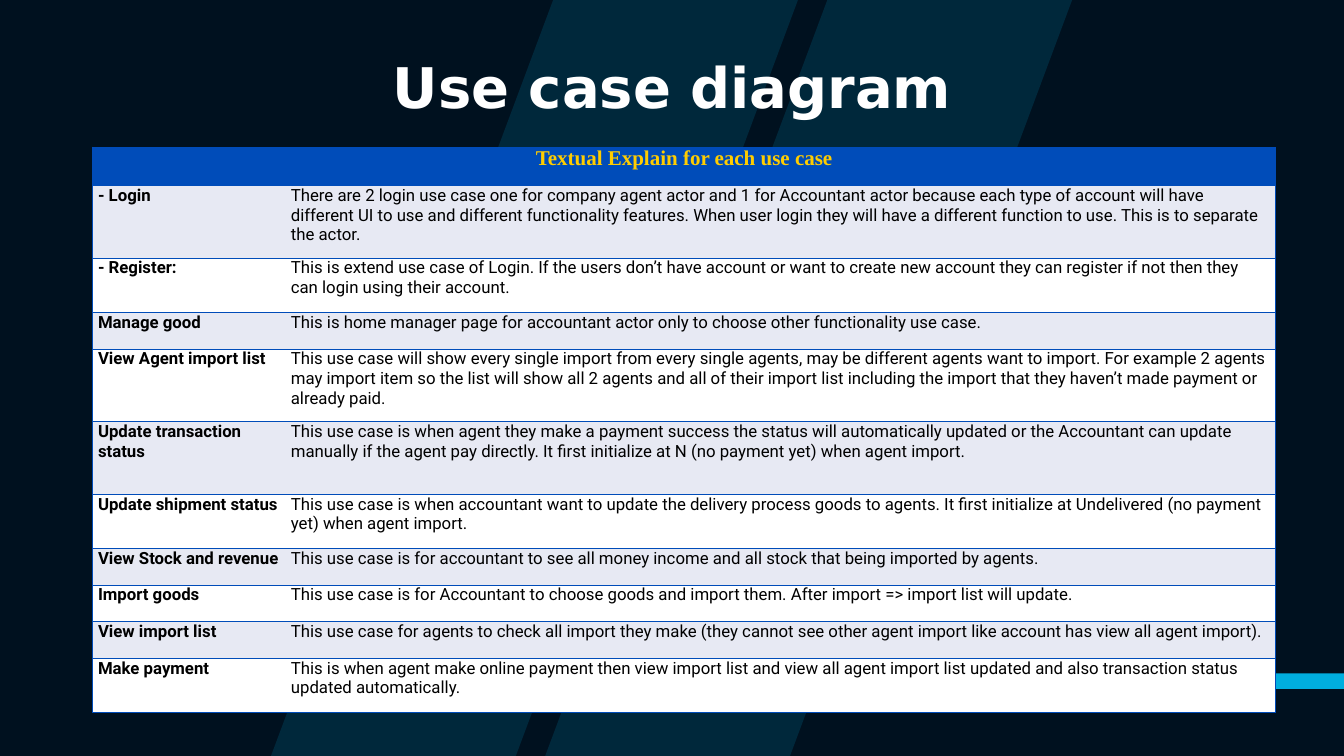
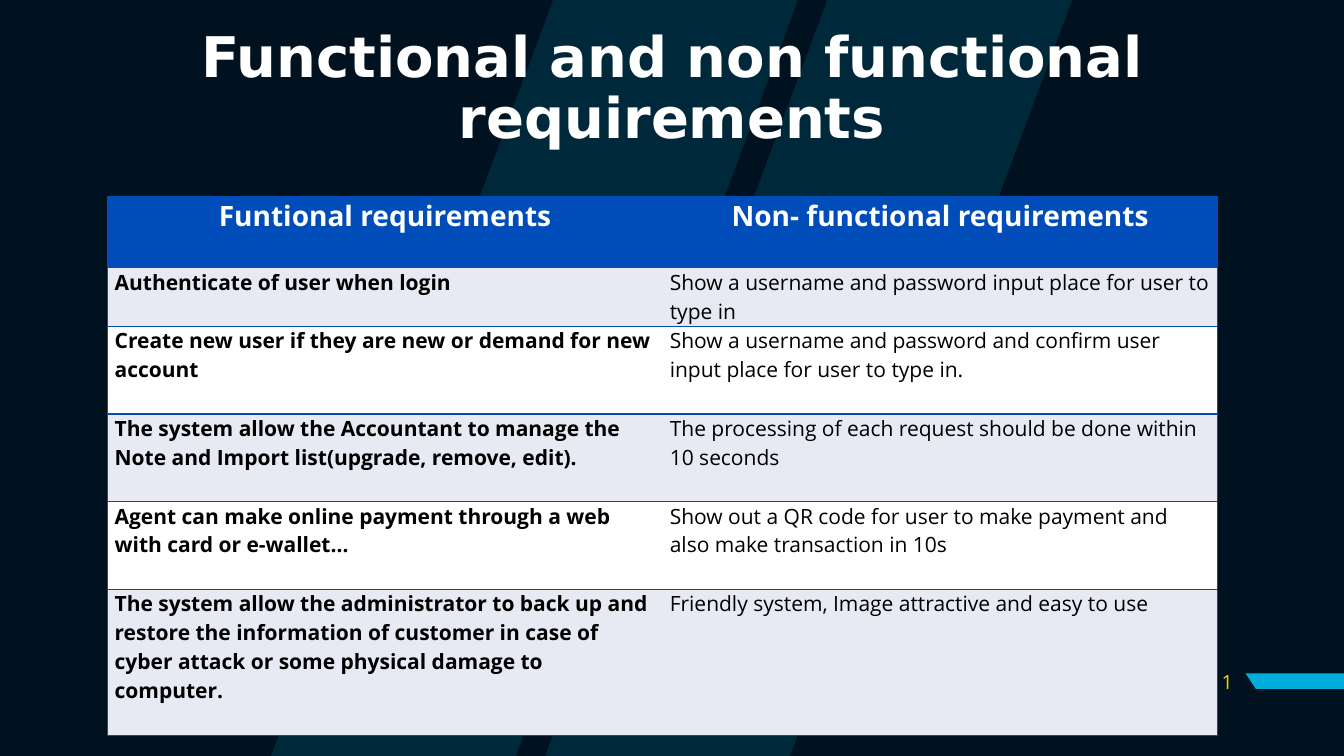
from dataclasses import dataclass

from lxml.etree import SubElement
from pptx import Presentation
from pptx.dml.color import RGBColor
from pptx.enum.text import MSO_ANCHOR, MSO_AUTO_SIZE, PP_ALIGN
from pptx.oxml.ns import qn
from pptx.slide import Slide, SlideLayout
from pptx.table import _Cell
from pptx.text.text import _Paragraph
from pptx.util import Cm, Pt

# Shared look
NAVY = RGBColor(0x00, 0x11, 0x1F)
CYAN = RGBColor(0x00, 0xAE, 0xDE)
BLUE = RGBColor(0x00, 0x4C, 0xB9)
YELLOW = RGBColor(0xFF, 0xCD, 0x00)
PALE = RGBColor(0xE7, 0xE9, 0xF3)
WHITE = RGBColor(0xFF, 0xFF, 0xFF)
BLACK = RGBColor(0x00, 0x00, 0x00)
TITLE_FONT = "DejaVu Sans"
TEXT_FONT = "Open Sans"
SLIDE_W, SLIDE_H = 33.87, 19.05
PLAIN_TABLE = "{2D5ABB26-0587-4C30-8999-92F81FD0307C}"

Point = tuple[float, float]


@dataclass(frozen=True)
class TextStyle:
    font: str
    size: float
    color: RGBColor
    bold: bool = False
    align: PP_ALIGN = PP_ALIGN.LEFT


@dataclass(frozen=True)
class Row:
    height: float
    texts: tuple[str, ...]


@dataclass(frozen=True)
class TableDesign:
    left: float
    top: float
    widths: tuple[float, ...]
    inset: float
    header: TextStyle
    label: TextStyle
    body: TextStyle
    rows: tuple[Row, ...]


TITLE = TextStyle(TITLE_FONT, 40, WHITE, True, PP_ALIGN.CENTER)
PAGE_NUMBER = TextStyle(TEXT_FONT, 14, YELLOW, align=PP_ALIGN.RIGHT)

USE_CASES = TableDesign(
    left=2.34, top=3.71, widths=(4.86, 24.95), inset=0.13,
    header=TextStyle("Times New Roman", 15, YELLOW, True, PP_ALIGN.CENTER),
    label=TextStyle("Roboto", 12, BLACK, True),
    body=TextStyle("Roboto", 12, BLACK),
    rows=(
        Row(0.97, ("Textual Explain for each use case",)),
        Row(1.83, ("- Login",
                   "There are 2 login use case one for company agent actor and 1 for "
                   "Accountant actor because each type of account will have different UI "
                   "to use and different functionality features. When user login they will "
                   "have a different function to use. This is to separate the actor.")),
        Row(1.37, ("- Register:",
                   "This is extend use case of Login. If the users don’t have account or "
                   "want to create new account they can register if not then they can "
                   "login using their account.")),
        Row(0.92, ("Manage good",
                   "This is home manager page for accountant actor only to choose other "
                   "functionality use case.")),
        Row(1.83, ("View Agent import list",
                   "This use case will show every single import from every single agents, "
                   "may be different agents want to import. For example 2 agents may import "
                   "item so the list will show all 2 agents and all of their import list "
                   "including the import that they haven’t made payment or already paid.")),
        Row(1.83, ("Update transaction status",
                   "This use case is when agent they make a payment success the status will "
                   "automatically updated or the Accountant can update manually if the agent "
                   "pay directly. It first initialize at N (no payment yet) when agent "
                   "import.")),
        Row(1.37, ("Update shipment status",
                   "This use case is when accountant want to update the delivery process "
                   "goods to agents. It first initialize at Undelivered (no payment yet) "
                   "when agent import.")),
        Row(0.92, ("View Stock and revenue",
                   "This use case is for accountant to see all money income and all stock "
                   "that being imported by agents.")),
        Row(0.92, ("Import goods",
                   "This use case is for Accountant to choose goods and import them. After "
                   "import => import list will update.")),
        Row(0.92, ("View import list",
                   "This use case for agents to check all import they make (they cannot see "
                   "other agent import like account has view all agent import).")),
        Row(1.37, ("Make payment",
                   "This is when agent make online payment then view import list and view "
                   "all agent import list updated and also transaction status updated "
                   "automatically.")),
    ),
)

REQUIREMENTS = TableDesign(
    left=2.71, top=4.95, widths=(13.99, 13.99), inset=0.18,
    header=TextStyle(TEXT_FONT, 20, WHITE, True, PP_ALIGN.CENTER),
    label=TextStyle(TEXT_FONT, 15, BLACK, True),
    body=TextStyle(TEXT_FONT, 15, BLACK),
    rows=(
        Row(1.8, ("Funtional requirements", "Non- functional requirements")),
        Row(1.47, ("Authenticate of user when login",
                   "Show a username and password input place for user to type in")),
        Row(2.21, ("Create new user if they are new or demand for new account",
                   "Show a username and password and confirm user input place for user "
                   "to type in.")),
        Row(2.21, ("The system allow the Accountant to manage the Note and Import "
                   "list(upgrade, remove, edit).",
                   "The processing of each request should be done within 10 seconds")),
        Row(2.21, ("Agent can make online payment through a web with card or e-wallet…",
                   "Show out a QR code for user to make payment and also make transaction "
                   "in 10s")),
        Row(3.68, ("The system allow the administrator to back up and restore the "
                   "information of customer in case of cyber attack or some physical "
                   "damage to computer.",
                   "Friendly system, Image attractive and easy to use")),
    ),
)


def write(p: _Paragraph, text: str, style: TextStyle) -> None:
    p.text = text
    p.alignment = style.align
    p.font.name = style.font
    p.font.size = Pt(style.size)
    p.font.bold = style.bold
    p.font.color.rgb = style.color


def add_backdrop(s: Slide, layout: SlideLayout, outlines: list[list[Point]],
                 alpha: int = 100) -> None:
    """Draw cyan outlines as one freeform and place it on the layout."""
    contours = [[(Cm(x), Cm(y)) for x, y in outline] for outline in outlines]
    builder = s.shapes.build_freeform(*contours[0][0])
    builder.add_line_segments(contours[0][1:], close=True)
    for contour in contours[1:]:
        builder.move_to(*contour[0])
        builder.add_line_segments(contour[1:], close=True)
    sp = builder.convert_to_shape()
    sp.shadow.inherit = False
    sp.fill.solid()
    sp.fill.fore_color.rgb = CYAN
    sp.line.fill.background()
    if alpha < 100:
        color = sp.element.spPr.find(qn("a:solidFill"))[0]
        SubElement(color, qn("a:alpha"), val=str(alpha * 1000))
    layout.shapes.element.append(sp.element)


def add_title(s: Slide, text: str) -> None:
    sp = s.shapes.title
    sp.left, sp.top, sp.width, sp.height = Cm(2.33), Cm(0.43), Cm(29.21), Cm(3.68)
    tf = sp.text_frame
    tf.auto_size = MSO_AUTO_SIZE.NONE
    tf.vertical_anchor = MSO_ANCHOR.MIDDLE
    tf.margin_left = tf.margin_right = 0
    p = tf.paragraphs[0]
    write(p, text, TITLE)
    p.line_spacing = 0.9


def add_page_number(s: Slide, number: int) -> None:
    sp = s.shapes.add_textbox(Cm(29.8), Cm(16.67), Cm(1.52), Cm(1.02))
    tf = sp.text_frame
    tf.word_wrap = True
    tf.vertical_anchor = MSO_ANCHOR.MIDDLE
    write(tf.paragraphs[0], str(number), PAGE_NUMBER)


def set_borders(cell: _Cell, sides: str) -> None:
    """Rule the given sides (from L, R, T, B) in blue and clear the others."""
    tc_pr = cell._tc.get_or_add_tcPr()
    for side in "LRTB":
        ln = SubElement(tc_pr, qn(f"a:ln{side}"), w=str(Pt(1)))
        if side in sides:
            fill = SubElement(ln, qn("a:solidFill"))
            SubElement(fill, qn("a:srgbClr"), val=str(BLUE))
        else:
            SubElement(ln, qn("a:noFill"))


def add_ruled_table(s: Slide, design: TableDesign) -> None:
    last = len(design.widths) - 1
    frame = s.shapes.add_table(
        len(design.rows), len(design.widths), Cm(design.left), Cm(design.top),
        Cm(sum(design.widths)), Cm(sum(row.height for row in design.rows)))
    frame.element.find(f".//{qn('a:tableStyleId')}").text = PLAIN_TABLE
    table = frame.table
    for column, width in zip(table.columns, design.widths):
        column.width = Cm(width)

    for i, row in enumerate(design.rows):
        table.rows[i].height = Cm(row.height)
        # Header, then alternating pale and white rows
        color = BLUE if i == 0 else PALE if i % 2 else WHITE
        for j, cell in enumerate(table.rows[i].cells):
            cell.margin_left = cell.margin_right = Cm(design.inset)
            cell.margin_top = cell.margin_bottom = 0
            set_borders(cell, "TB" + "L" * (j == 0) + "R" * (j == last))
            cell.fill.solid()
            cell.fill.fore_color.rgb = color
            if j < len(row.texts):
                style = design.header if i == 0 else design.body if j else design.label
                write(cell.text_frame.paragraphs[0], row.texts[j], style)
        if len(row.texts) == 1:
            table.cell(i, 0).merge(table.cell(i, last))


def main() -> None:
    prs = Presentation()
    prs.slide_width, prs.slide_height = Cm(SLIDE_W), Cm(SLIDE_H)
    layout = prs.slide_layouts[5]
    layout.background.fill.solid()
    layout.background.fill.fore_color.rgb = NAVY

    # Slide 1: use cases
    s = prs.slides.add_slide(layout)

    # Slanted bands and page tab, shared through the layout
    band_w, slant = 6.17, 7.11
    bands = [[(x, 0), (x - slant, SLIDE_H), (x - slant + band_w, SLIDE_H), (x + band_w, 0)]
             for x in (20.85, 13.94)]
    add_backdrop(s, layout, bands, alpha=15)
    tab_top, tab_bottom = 16.97, 17.36
    add_backdrop(s, layout, [[(SLIDE_W, tab_top), (SLIDE_W, tab_bottom),
                              (31.65, tab_bottom), (31.39, tab_top)]])

    add_title(s, "Use case diagram")
    add_ruled_table(s, USE_CASES)

    # Slide 2: requirements
    s = prs.slides.add_slide(layout)
    add_title(s, "Functional and non functional requirements")
    add_page_number(s, 11)
    add_ruled_table(s, REQUIREMENTS)

    prs.save("out.pptx")


if __name__ == "__main__":
    main()
